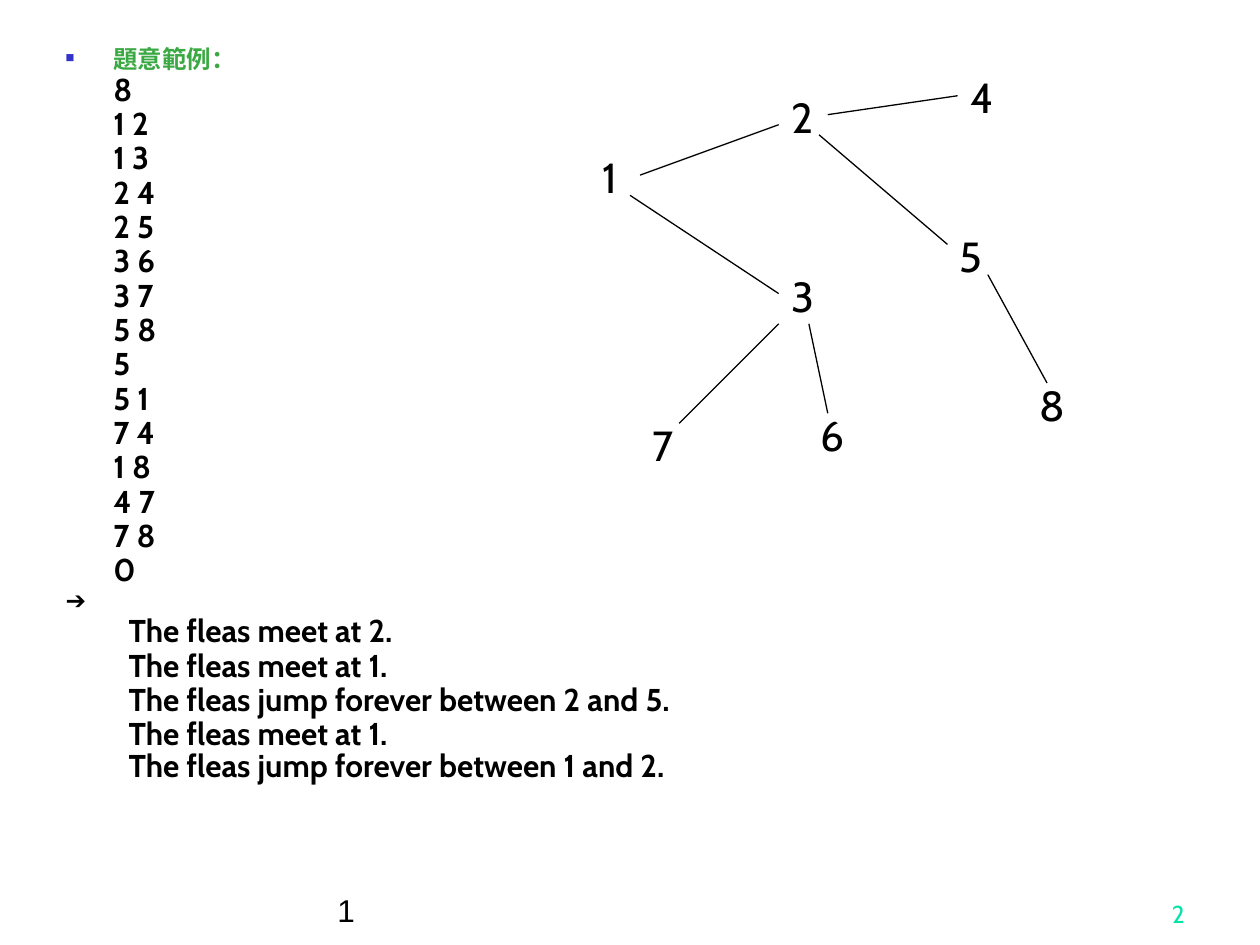
import pptx
import pptx.dml.color
import pptx.enum.shapes
import pptx.enum.text
import pptx.util
from lxml import etree
from pptx.oxml.ns import qn

COLORS = {"ink": "000000", "heading": "3BA943", "bullet": "3333CC", "number": "00E4A8"}
COLUMNS, ROWS = 10, 7.5  # grid cells across and down the slide

SAMPLE_INPUT = ["8", "1 2", "1 3", "2 4", "2 5", "3 6", "3 7", "5 8",
                "5", "5 1", "7 4", "1 8", "4 7", "7 8", "0"]
SAMPLE_OUTPUT = ["The fleas meet at 2.", "The fleas meet at 1.",
                 "The fleas jump forever between 2 and 5.",
                 "The fleas meet at 1.",
                 "The fleas jump forever between 1 and 2."]

# Tree nodes: label -> column, row of the box
NODES = {"1": (4.68, 1.15), "2": (6.18, 0.68), "3": (6.18, 2.1), "4": (7.6, 0.52),
         "5": (7.52, 1.78), "6": (6.41, 3.2), "7": (5.08, 3.28), "8": (8.15, 2.96)}
# Tree edges: start and end as column, row
EDGES = [((5.08, 1.39), (6.18, 0.99)), ((5, 1.55), (6.18, 2.33)),
         ((6.57, 0.91), (7.6, 0.76)), ((6.5, 1.07), (7.52, 1.94)),
         ((6.42, 2.57), (6.57, 3.28)), ((6.18, 2.57), (5.39, 3.36)),
         ((7.84, 2.18), (8.31, 3.04))]


def write(para, text, font="Cabin", size=18, color="ink", bold=False):
    """Add a formatted span of text to a paragraph."""
    span = para.add_run()
    span.text = text
    span.font.name = font
    span.font.size = pptx.util.Pt(size)
    span.font.bold = bold
    span.font.color.rgb = pptx.dml.color.RGBColor.from_string(COLORS[color])


class SlideBuilder:
    def __init__(self, deck):
        self.deck = deck
        self.page = deck.slides.add_slide(deck.slide_layouts[1])
        title = self.page.shapes.title._element
        title.getparent().remove(title)

    def x(self, column):
        return round(self.deck.slide_width * column / COLUMNS)

    def y(self, row):
        return round(self.deck.slide_height * row / ROWS)

    def body(self, column, row, width, height):
        box = self.page.placeholders[1]
        box.left, box.top = self.x(column), self.y(row)
        box.width, box.height = self.x(width), self.y(height)
        box.text_frame.auto_size = pptx.enum.text.MSO_AUTO_SIZE.NONE
        return box.text_frame

    def item(self, frame, text, margin=0.38, indent=0, level=0, before=4.5,
             bullet=None, **style):
        """Add one line to the body; the first line gets no space before."""
        para = frame.paragraphs[0]
        if para.runs:
            para = frame.add_paragraph()
        else:
            before = 0
        para.level = level
        properties = para._p.get_or_add_pPr()
        properties.set("marL", str(self.x(margin)))
        properties.set("indent", str(self.x(indent)))
        if bullet:
            color = etree.SubElement(properties, qn("a:buClr"))
            etree.SubElement(color, qn("a:srgbClr"), val=COLORS["bullet"])
            etree.SubElement(properties, qn("a:buSzPct"), val="60000")
            etree.SubElement(properties, qn("a:buChar"), char=bullet)
        else:
            etree.SubElement(properties, qn("a:buNone"))
        para.line_spacing = 0.7
        para.space_before = pptx.util.Pt(before)
        write(para, text, bold=True, **style)

    def label(self, text, column, row, width=0.39, wrap=False,
              anchor="TOP", align="LEFT", **style):
        box = self.page.shapes.add_textbox(
            self.x(column), self.y(row), self.x(width), self.y(0.5))
        frame = box.text_frame
        frame.word_wrap = wrap
        frame.vertical_anchor = getattr(pptx.enum.text.MSO_ANCHOR, anchor)
        para = frame.paragraphs[0]
        para.alignment = getattr(pptx.enum.text.PP_ALIGN, align)
        write(para, text, **style)

    def edge(self, start, end):
        line = self.page.shapes.add_connector(
            pptx.enum.shapes.MSO_CONNECTOR.STRAIGHT,
            self.x(start[0]), self.y(start[1]), self.x(end[0]), self.y(end[1]))
        line.line.width = pptx.util.Pt(0.75)
        line.line.color.rgb = pptx.dml.color.RGBColor.from_string(COLORS["ink"])
        etree.SubElement(line._element.spPr, qn("a:effectLst"))


def main():
    deck = pptx.Presentation()
    deck.slide_width, deck.slide_height = pptx.util.Inches(10), pptx.util.Inches(7.5)
    builder = SlideBuilder(deck)

    # Sample input and output
    frame = builder.body(0.42, 0.36, 8.83, 6.53)
    builder.item(frame, "題意範例：", indent=-0.38, bullet="■",
                 font="Times New Roman", size=14, color="heading")
    for text in SAMPLE_INPUT:
        builder.item(frame, text)
    builder.item(frame, "➔", indent=-0.38, before=3.5, font="Arial", size=14)
    for text in SAMPLE_OUTPUT:
        last = text is SAMPLE_OUTPUT[-1]
        builder.item(frame, text, margin=0.81, indent=-0.31, level=1,
                     before=3 if last else 4.5)

    # Tree
    for text, (column, row) in NODES.items():
        builder.label(text, column, row, size=24)
    for start, end in EDGES:
        builder.edge(start, end)

    # Footer and page number
    builder.label("1", 2.58, 6.92, width=5.42, wrap=True, anchor="BOTTOM", font="Arial")
    builder.label("2", 7.42, 6.92, width=2.08, wrap=True, anchor="BOTTOM",
                  align="RIGHT", size=14, color="number")

    deck.save("out.pptx")


if __name__ == "__main__":
    main()
